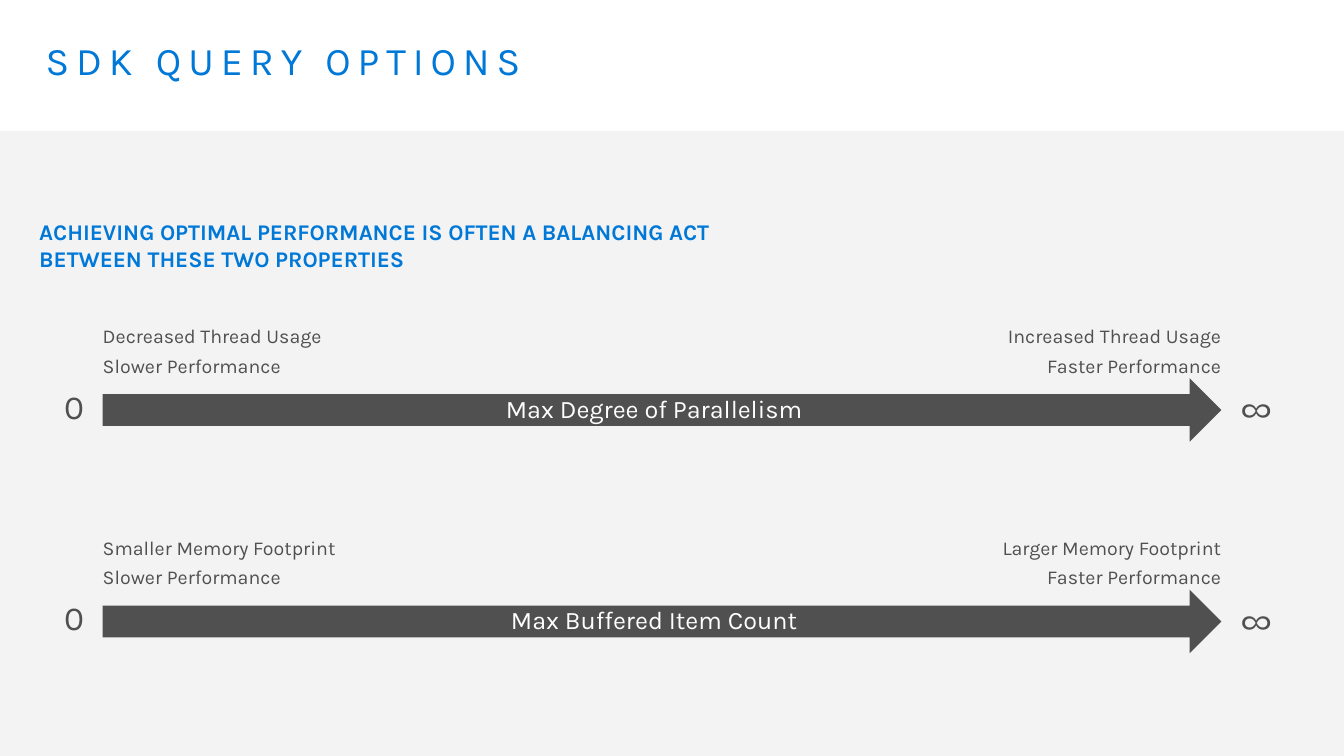
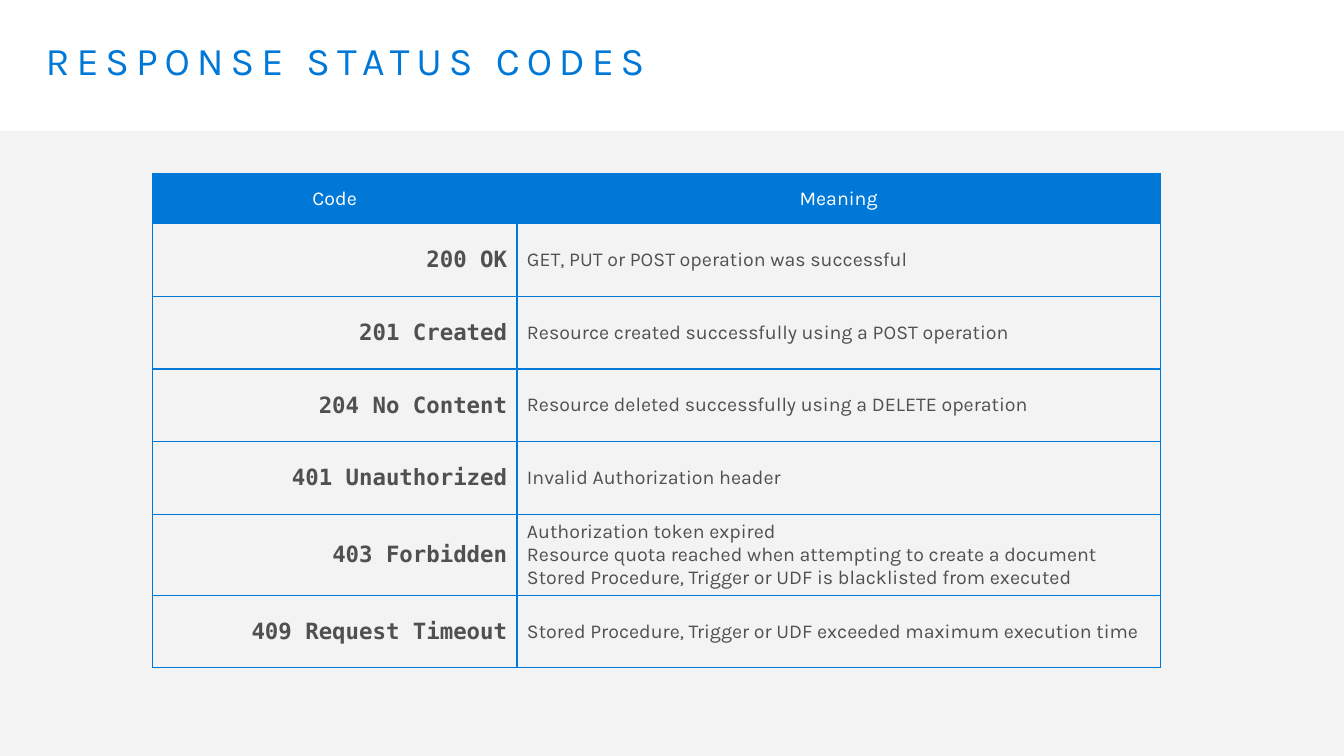
from dataclasses import dataclass

from lxml.etree import SubElement
from pptx import Presentation
from pptx.dml.color import RGBColor
from pptx.enum.shapes import MSO_SHAPE as Shape
from pptx.enum.text import MSO_ANCHOR as Anchor, PP_ALIGN as Align
from pptx.oxml.ns import qn
from pptx.util import Cm, Pt


@dataclass(frozen=True)
class Theme:
    """Colours, fonts and type sizes shared by the slides."""
    blue: str = "0078D7"
    gray: str = "505050"
    white: str = "FFFFFF"
    panel: str = "F3F3F3"
    font: str = "Karla"
    mono: str = "DejaVu Sans Mono"
    title: int = 28
    infinity: int = 32
    zero: int = 24
    arrow: int = 18
    lead: int = 16
    body: int = 14


THEME = Theme()
WIDTH, HEIGHT, HEADER = Cm(33.87), Cm(19.05), Cm(3.3)

AXES = [
    ("Max Degree of Parallelism",
     "Decreased Thread Usage\nSlower Performance",
     "Increased Thread Usage\nFaster Performance"),
    ("Max Buffered Item Count",
     "Smaller Memory Footprint\nSlower Performance",
     "Larger Memory Footprint\nFaster Performance"),
]

STATUS_CODES = [
    ("200 OK", "GET, PUT or POST operation was successful"),
    ("201 Created", "Resource created successfully using a POST operation"),
    ("204 No Content", "Resource deleted successfully using a DELETE operation"),
    ("401 Unauthorized", "Invalid Authorization header"),
    ("403 Forbidden",
     "Authorization token expired\n"
     "Resource quota reached when attempting to create a document\v"
     "Stored Procedure, Trigger or UDF is blacklisted from executed"),
    ("409 Request Timeout",
     "Stored Procedure, Trigger or UDF exceeded maximum execution time"),
]


def rgb(color):
    """Turn a hex string into a colour."""
    return RGBColor.from_string(color)


def write(frame, text, size, color=THEME.gray, font=THEME.font, bold=False,
          align=Align.LEFT, line=1.0, after=0):
    """Fill a text frame with evenly styled paragraphs."""
    frame.text = text
    for paragraph in frame.paragraphs:
        paragraph.alignment = align
        paragraph.line_spacing = line
        paragraph.space_after = Pt(after)
        paragraph.font.name = font
        paragraph.font.size = Pt(size)
        paragraph.font.bold = bold
        paragraph.font.color.rgb = rgb(color)


def set_margins(target, horizontal, vertical):
    """Set the insets of a text frame or table cell."""
    target.margin_left = target.margin_right = horizontal
    target.margin_top = target.margin_bottom = vertical


def add_text(slide, box, text, size, margins=(0, 0), **style):
    """Add a wrapped text box and return its frame."""
    frame = slide.shapes.add_textbox(*box).text_frame
    frame.word_wrap = True
    set_margins(frame, *margins)
    write(frame, text, size, **style)
    return frame


def add_block(slide, kind, box, color):
    """Add a flat preset shape without outline or shadow."""
    shape = slide.shapes.add_shape(kind, *box)
    shape.shadow.inherit = False
    shape.fill.solid()
    shape.fill.fore_color.rgb = rgb(color)
    shape.line.fill.background()
    return shape


def add_titled_slide(presentation, title):
    """Add a slide with the spaced title above the pale panel."""
    slide = presentation.slides.add_slide(presentation.slide_layouts[6])
    add_block(slide, Shape.RECTANGLE, (0, HEADER, WIDTH, HEIGHT - HEADER), THEME.panel)
    frame = add_text(slide, (Cm(0.74), Cm(0.81), Cm(32.39), Cm(2.49)), title,
                     THEME.title, (Cm(0.41), Cm(0.25)), color=THEME.blue, line=0.9)
    properties = frame.paragraphs[0].runs[0].font
    properties._element.set("spc", "500") if hasattr(properties, "_element") else \
        frame.paragraphs[0].runs[0]._r.get_or_add_rPr().set("spc", "500")
    return slide


def add_axis(slide, box, name, low, high):
    """Draw an arrow from zero to infinity with a caption over each end."""
    left, top, width, height = box
    arrow_top, arrow_height = top + Cm(1.3), height - Cm(1.3)
    arrow = add_block(slide, Shape.RIGHT_ARROW, (left, arrow_top, width, arrow_height),
                      THEME.gray)
    frame = arrow.text_frame
    frame.vertical_anchor = Anchor.MIDDLE
    set_margins(frame, 0, 0)
    write(frame, name, THEME.arrow, THEME.white, align=Align.CENTER, line=0.9)

    caption_width = Cm(7.47)
    for text, x, align in ((low, left, Align.LEFT),
                           (high, left + width - caption_width, Align.RIGHT)):
        add_text(slide, (x, top, caption_width, Cm(1.3)), text, THEME.body,
                 align=align, line=0.9, after=6)
    add_text(slide, (left - Cm(0.97), arrow_top + Cm(0.3), Cm(0.7), Cm(0.91)),
             "0", THEME.zero, line=0.9)
    add_text(slide, (left + width + Cm(0.51), arrow_top + Cm(0.15), Cm(1.2), Cm(1.22)),
             "∞", THEME.infinity, line=0.9)


def add_borders(cell, color):
    """Draw a one-point line on every side of a cell."""
    properties = cell._tc.get_or_add_tcPr()
    for index, side in enumerate(("lnL", "lnR", "lnT", "lnB")):
        line = SubElement(properties, qn(f"a:{side}"), w=str(Pt(1)))
        fill = SubElement(line, qn("a:solidFill"))
        SubElement(fill, qn("a:srgbClr"), val=color)
        properties.insert(index, line)


def add_status_table(slide, left, top):
    """Add the table of status codes and their meanings."""
    widths, head_height, row_height = (Cm(9.19), Cm(16.21)), Cm(1.27), Cm(1.83)
    table = slide.shapes.add_table(
        len(STATUS_CODES) + 1, 2, left, top, sum(widths),
        head_height + row_height * len(STATUS_CODES)).table
    table.first_row = table.horz_banding = False
    for column, width in zip(table.columns, widths):
        column.width = width

    head_style = dict(size=THEME.body, color=THEME.white, align=Align.CENTER)
    code_style = dict(size=THEME.lead, font=THEME.mono, bold=True, align=Align.RIGHT)
    meaning_style = dict(size=THEME.body)
    for index, texts in enumerate([("Code", "Meaning"), *STATUS_CODES]):
        is_head = index == 0
        table.rows[index].height = head_height if is_head else row_height
        styles = (head_style, head_style) if is_head else (code_style, meaning_style)
        for cell, text, style in zip(table.rows[index].cells, texts, styles):
            cell.vertical_anchor = Anchor.MIDDLE
            set_margins(cell, Cm(0.13 if is_head else 0.25), Cm(0.13))
            if is_head:
                cell.fill.solid()
                cell.fill.fore_color.rgb = rgb(THEME.blue)
            else:
                cell.fill.background()
            write(cell.text_frame, text, **style)
            add_borders(cell, THEME.blue)


def build_query_options(presentation):
    """Build the slide with the two performance axes."""
    slide = add_titled_slide(presentation, "SDK QUERY OPTIONS")
    add_text(slide, (Cm(0.74), Cm(5.36), Cm(19.53), Cm(1.63)),
             "ACHIEVING OPTIMAL PERFORMANCE IS OFTEN A BALANCING ACT "
             "BETWEEN THESE TWO PROPERTIES",
             THEME.lead, (Cm(0.25), Cm(0.13)), color=THEME.blue, bold=True)
    for index, axis in enumerate(AXES):
        top = Cm(8.23) + index * Cm(5.33)
        add_axis(slide, (Cm(2.59), top, Cm(28.19), Cm(2.9)), *axis)


def build_status_codes(presentation):
    """Build the slide with the table of status codes."""
    slide = add_titled_slide(presentation, "RESPONSE STATUS CODES")
    add_status_table(slide, Cm(3.84), Cm(4.37))


def main():
    """Build and save the presentation."""
    presentation = Presentation()
    presentation.slide_width, presentation.slide_height = WIDTH, HEIGHT
    build_query_options(presentation)
    build_status_codes(presentation)
    presentation.save("out.pptx")


if __name__ == "__main__":
    main()
